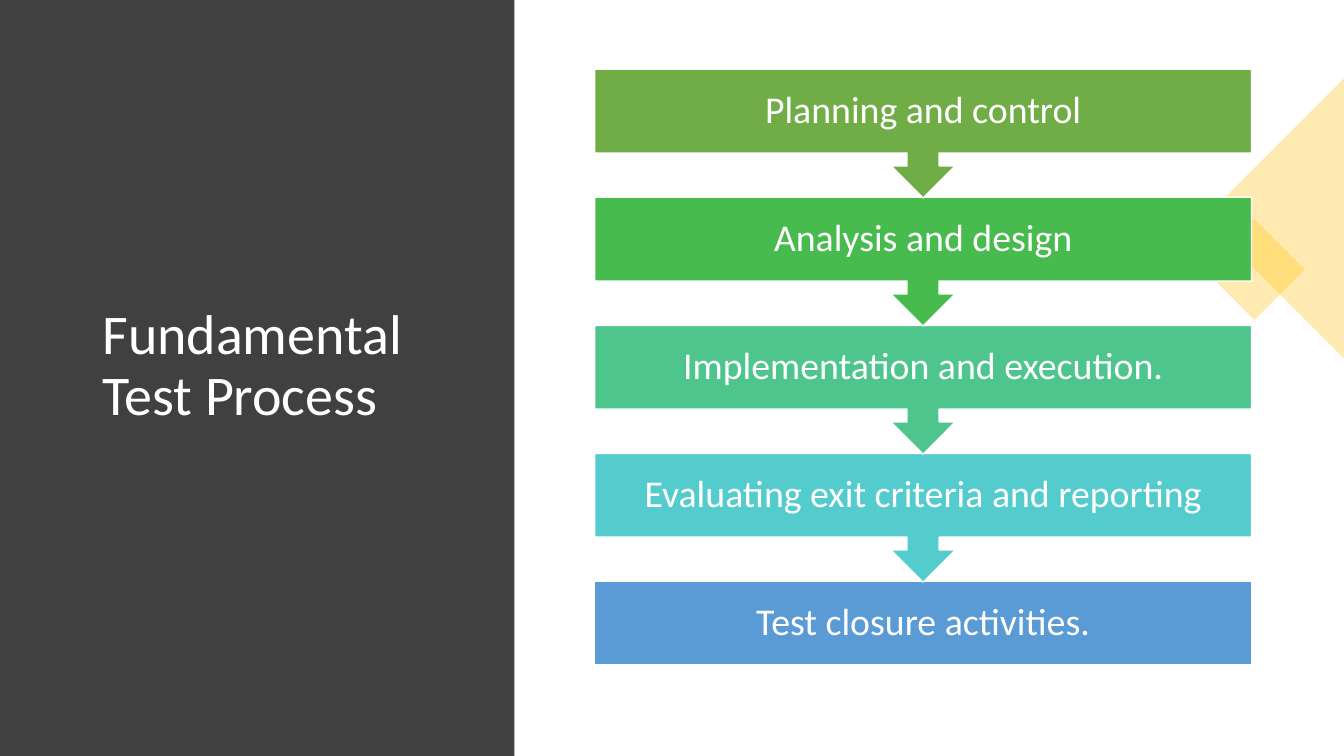
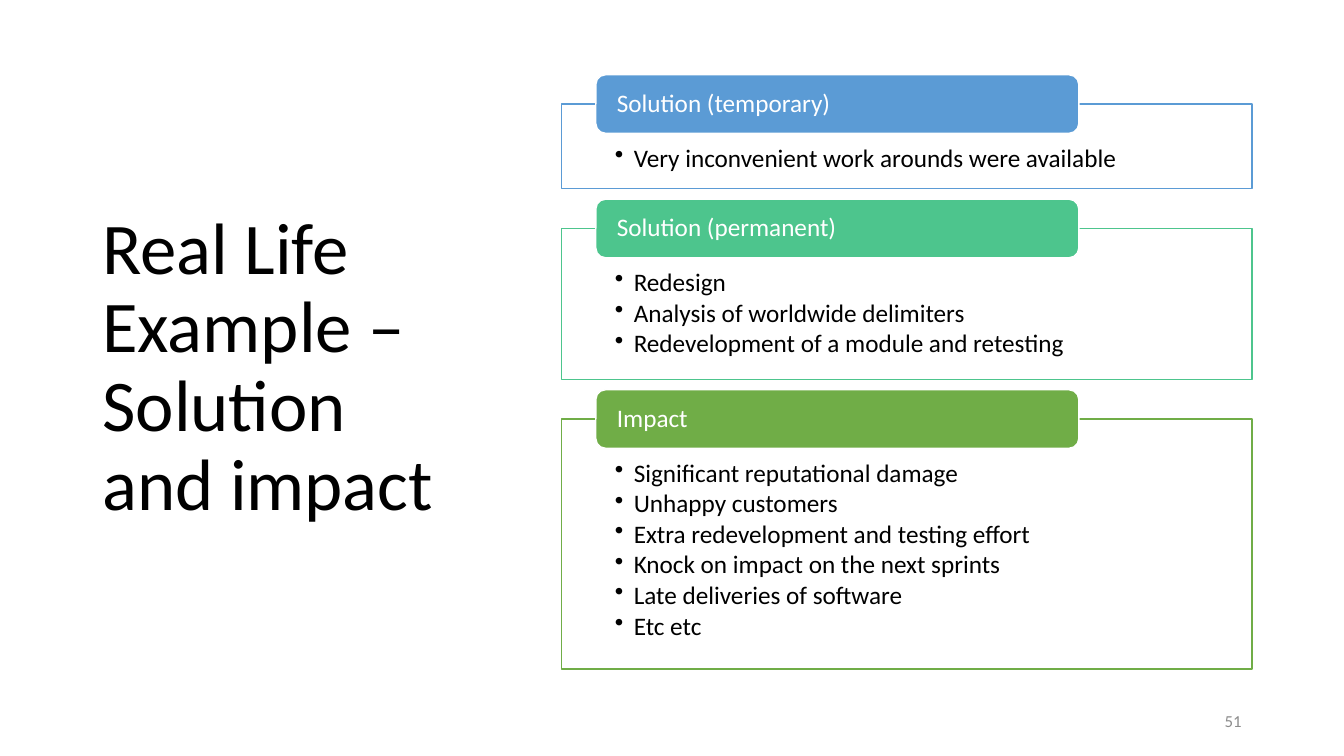
from lxml import etree
from pptx import Presentation
from pptx import util as u
from pptx.dml.color import RGBColor
from pptx.enum import shapes, text
from pptx.oxml import ns

Pt = u.Pt
Preset = shapes.MSO_SHAPE
Align = text.PP_ALIGN

FONT = "Calibri"
WHITE = RGBColor(0xFF, 0xFF, 0xFF)
BLACK = RGBColor(0x00, 0x00, 0x00)
CHARCOAL = RGBColor(0x40, 0x40, 0x40)
GREY = RGBColor(0x8C, 0x8C, 0x8C)
AMBER = RGBColor(0xFF, 0xC0, 0x00)
OLIVE = RGBColor(0x70, 0xAD, 0x47)
GREEN = RGBColor(0x48, 0xBB, 0x4F)
MINT = RGBColor(0x4D, 0xC5, 0x8D)
TEAL = RGBColor(0x54, 0xCC, 0xCD)
BLUE = RGBColor(0x5B, 0x9B, 0xD5)


class Deck:
    """Shared style plus the slide being built; all lengths in points."""

    def __init__(self, width, height):
        self.prs = Presentation()
        self.prs.slide_width, self.prs.slide_height = Pt(width), Pt(height)
        self.slide = None

    def new_slide(self):
        self.slide = self.prs.slides.add_slide(self.prs.slide_layouts[6])

    def shape(self, preset, box, fill, line=None, rotation=0, alpha=None):
        item = self.slide.shapes.add_shape(preset, *map(Pt, box))
        item.shadow.inherit = False
        item.rotation = rotation
        item.fill.solid()
        item.fill.fore_color.rgb = fill
        if line is None:
            item.line.fill.background()
        else:
            item.line.color.rgb = line
            item.line.width = Pt(1)
        if alpha is not None:
            color = item.element.spPr.find(ns.qn("a:solidFill"))[0]
            etree.SubElement(color, ns.qn("a:alpha"), val=str(alpha * 1000))
        return item

    def set_text(self, item, lines, size, color, align=Align.LEFT,
                 anchor=text.MSO_ANCHOR.MIDDLE, insets=(7.2, 3.6, 7.2, 3.6),
                 spacing=0.9, bullets=False):
        frame = item.text_frame
        frame.word_wrap = True
        frame.vertical_anchor = anchor
        (frame.margin_left, frame.margin_top,
         frame.margin_right, frame.margin_bottom) = map(Pt, insets)
        frame.text = "\n".join(lines)
        for paragraph in frame.paragraphs:
            paragraph.alignment = align
            paragraph.line_spacing = spacing
            paragraph.font.name = FONT
            paragraph.font.size = Pt(size)
            paragraph.font.color.rgb = color
            if bullets:
                self.bullet(paragraph)

    def bullet(self, paragraph):
        paragraph.space_after = Pt(2.4)
        props = paragraph._p.get_or_add_pPr()
        props.set("marL", str(Pt(13.5)))
        props.set("indent", str(Pt(-13.5)))
        mark = etree.Element(ns.qn("a:buChar"), char="•")
        props.find(ns.qn("a:defRPr")).addprevious(mark)

    def text_box(self, box, line, size, color, **style):
        item = self.slide.shapes.add_textbox(*map(Pt, box))
        self.set_text(item, [line], size, color, **style)

    def title(self, line, size, color, top, height):
        self.text_box((66, top, 265, height), line, size, color)

    def process(self, steps, left, top, width, pitch):
        # Bottom step first, so that each arrow tip lies over the next box
        last = len(steps) - 1
        for i, (label, color) in reversed(list(enumerate(steps))):
            preset, height = ((Preset.RECTANGLE, 59.8) if i == last
                              else (Preset.DOWN_ARROW_CALLOUT, 92))
            step = self.shape(preset, (left, top + i * pitch, width, height),
                              color, line=WHITE)
            self.set_text(step, [label], 27, WHITE, align=Align.CENTER,
                          insets=(15, 15, 15, 15))

    def sections(self, sections, left, top, width):
        for heading, color, points in sections:
            height = 37 + 23.6 * len(points)
            frame = self.shape(Preset.RECTANGLE, (left, top, width, height),
                               WHITE, line=color)
            self.set_text(frame, points, 18, BLACK, anchor=text.MSO_ANCHOR.TOP,
                          insets=(38.2, 29.5, 38.2, 10), bullets=True)
            tab = self.shape(Preset.ROUNDED_RECTANGLE,
                             (left + 24.6, top - 20.9, 345, 41.8),
                             color, line=WHITE)
            self.set_text(tab, [heading], 18, WHITE, insets=(13, 0, 13, 0))
            top += height + 28.3


PROCESS = [
    ("Planning and control", OLIVE),
    ("Analysis and design", GREEN),
    ("Implementation and execution.", MINT),
    ("Evaluating exit criteria and reporting", TEAL),
    ("Test closure activities.", BLUE),
]

SECTIONS = [
    ("Solution (temporary)", BLUE, [
        "Very inconvenient work arounds were available",
    ]),
    ("Solution (permanent)", MINT, [
        "Redesign",
        "Analysis of worldwide delimiters",
        "Redevelopment of a module and retesting",
    ]),
    ("Impact", OLIVE, [
        "Significant reputational damage",
        "Unhappy customers",
        "Extra redevelopment and testing effort",
        "Knock on impact on the next sprints",
        "Late deliveries of software",
        "Etc etc",
    ]),
]


def main():
    deck = Deck(960, 540)

    # Test process: amber accents, dark title panel, chain of steps
    deck.new_slide()
    deck.shape(Preset.RECTANGLE, (870.5, 167, 51, 51), AMBER,
               rotation=45, alpha=30)
    deck.shape(Preset.ISOSCELES_TRIANGLE, (810, 106, 200, 100), AMBER,
               rotation=270, alpha=30)
    deck.shape(Preset.RECTANGLE, (0, 0, 367.5, 540), CHARCOAL)
    deck.title("Fundamental Test Process", 40, WHITE, 49, 426)
    deck.process(PROCESS, 424.8, 49.5, 469.2, 91.45)

    # Real life example: title, framed sections, page number
    deck.new_slide()
    deck.title("Real Life Example – Solution and impact", 52, BLACK, 44, 438.5)
    deck.sections(SECTIONS, 401, 74.3, 493.2)
    deck.text_box((678, 500.5, 216, 28.8), "51", 12, GREY,
                  align=Align.RIGHT, spacing=1.0)

    deck.prs.save("out.pptx")


if __name__ == "__main__":
    main()
